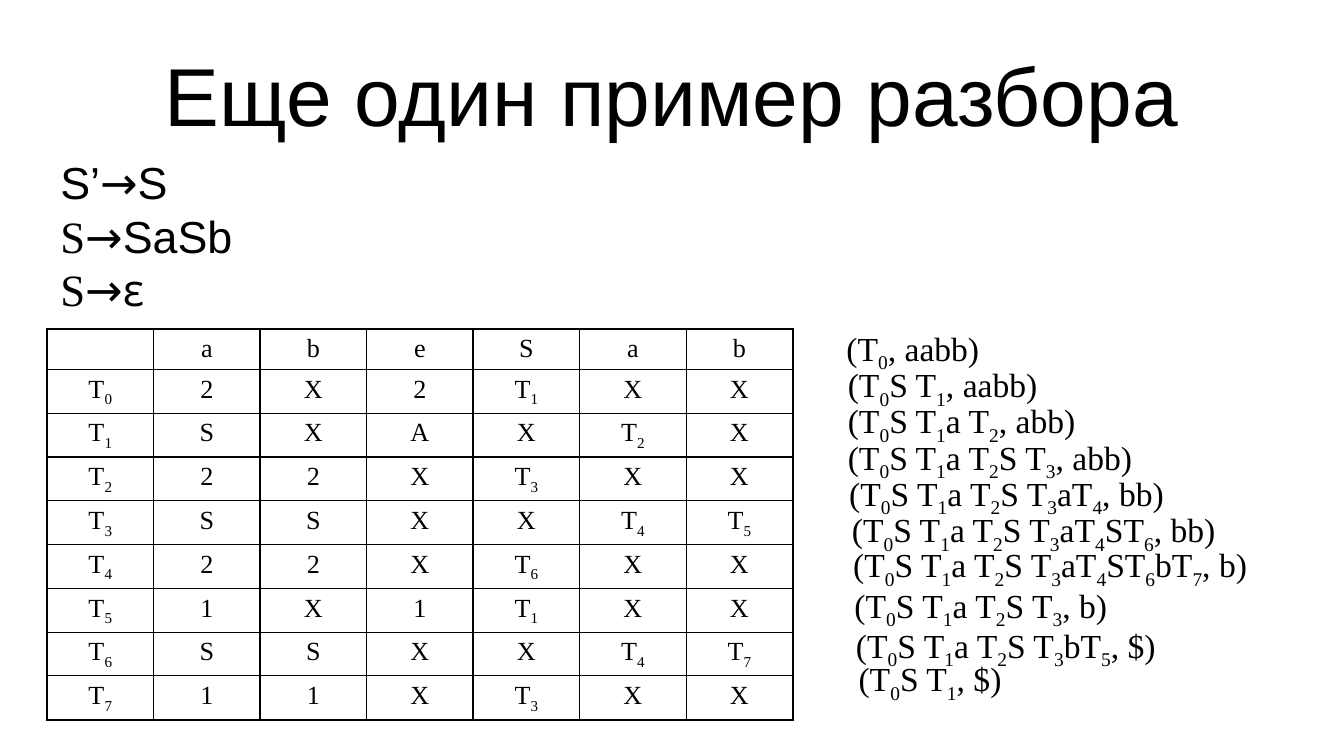
from itertools import groupby

from lxml import etree
from pptx import Presentation
from pptx.dml.color import RGBColor
from pptx.enum.text import MSO_ANCHOR, PP_ALIGN
from pptx.oxml.ns import qn
from pptx.util import Inches, Pt

CENTER, JUSTIFY, LEFT = PP_ALIGN.CENTER, PP_ALIGN.JUSTIFY, PP_ALIGN.LEFT
MIDDLE, TOP = MSO_ANCHOR.MIDDLE, MSO_ANCHOR.TOP
COLORS = {"ink": "000000"}
SANS, SYMBOL, SERIF = "Arial", "Open Sans", "Times New Roman"

GRAMMAR = [
    [("S’", SANS), ("→", SYMBOL), ("S", SANS)],
    [("S", SERIF), ("→", SYMBOL), ("SaSb", SANS)],
    [("S", SERIF), ("→ε", SYMBOL)],
]
PARSING_TABLE = [
    ["", "a", "b", "e", "S", "a", "b"],
    ["T0", "2", "X", "2", "T1", "X", "X"],
    ["T1", "S", "X", "A", "X", "T2", "X"],
    ["T2", "2", "2", "X", "T3", "X", "X"],
    ["T3", "S", "S", "X", "X", "T4", "T5"],
    ["T4", "2", "2", "X", "T6", "X", "X"],
    ["T5", "1", "X", "1", "T1", "X", "X"],
    ["T6", "S", "S", "X", "X", "T4", "T7"],
    ["T7", "1", "1", "X", "T3", "X", "X"],
]
# Left, top, width and configuration of each parsing step
STEPS = [
    (6.2, 2.39, 1.9, "(T0, aabb)"),
    (6.21, 2.66, 2.32, "(T0S T1, aabb)"),
    (6.21, 2.93, 2.15, "(T0S T1a T2, abb)"),
    (6.21, 3.2, 2.88, "(T0S T1a T2S T3, abb)"),
    (6.22, 3.47, 2.88, "(T0S T1a T2S T3aT4, bb)"),
    (6.24, 3.74, 3.4, "(T0S T1a T2S T3aT4ST6, bb)"),
    (6.25, 4, 3.55, "(T0S T1a T2S T3aT4ST6bT7, b)"),
    (6.26, 4.3, 2.36, "(T0S T1a T2S T3, b)"),
    (6.27, 4.6, 2.75, "(T0S T1a T2S T3bT5, $)"),
    (6.29, 4.85, 1.43, "(T0S T1, $)"),
]
HEAVY_COLUMN_EDGES, HEAVY_ROW_EDGES = {0, 1, 4, 7}, {0, 1, 9}


def add_run(paragraph, text, size, font_name, subscript=False):
    run = paragraph.add_run()
    run.text = text
    run.font.size = Pt(size)
    run.font.name = font_name
    run.font.color.rgb = RGBColor.from_string(COLORS["ink"])
    if subscript:
        run._r.get_or_add_rPr().set("baseline", "-25000")


def add_indexed_text(paragraph, text, size):
    """Write text with every digit that follows a letter as a subscript."""
    for index, (is_digit, chars) in enumerate(groupby(text, str.isdigit)):
        add_run(paragraph, "".join(chars), size, SERIF, is_digit and index > 0)


def add_title(slide, text):
    title = slide.shapes.title
    title.left, title.top = Inches(0.5), Inches(0.23)
    title.width, title.height = Inches(9), Inches(0.94)
    title.text_frame.vertical_anchor = MIDDLE
    heading = title.text_frame.paragraphs[0]
    heading.alignment = CENTER
    add_run(heading, text, 44, SANS)


def add_text_frame(slide, left, top, width, height, anchor):
    box = slide.shapes.add_textbox(
        Inches(left), Inches(top), Inches(width), Inches(height))
    box.text_frame.word_wrap = True
    box.text_frame.vertical_anchor = anchor
    return box.text_frame


def add_grammar(slide):
    frame = add_text_frame(slide, 0.35, 1.26, 2.75, 0.98, MIDDLE)
    for index, rule in enumerate(GRAMMAR):
        paragraph = frame.add_paragraph() if index else frame.paragraphs[0]
        paragraph.alignment = JUSTIFY
        for text, font_name in rule:
            add_run(paragraph, text, 24, font_name)


def add_step(slide, left, top, width, configuration):
    frame = add_text_frame(slide, left, top, width, 0.33, TOP)
    frame.paragraphs[0].alignment = LEFT
    add_indexed_text(frame.paragraphs[0], configuration, 18)


def set_borders(cell, row, column):
    edges = {
        "a:lnL": column in HEAVY_COLUMN_EDGES,
        "a:lnR": column + 1 in HEAVY_COLUMN_EDGES,
        "a:lnT": row in HEAVY_ROW_EDGES,
        "a:lnB": row + 1 in HEAVY_ROW_EDGES,
    }
    properties = cell._tc.get_or_add_tcPr()
    for position, (tag, heavy) in enumerate(edges.items()):
        line = etree.Element(qn(tag), w=str(Pt(1.08 if heavy else 0.75)))
        fill = etree.SubElement(line, qn("a:solidFill"))
        etree.SubElement(fill, qn("a:srgbClr"), val=COLORS["ink"])
        properties.insert(position, line)


def fill_cell(cell, text):
    cell.fill.background()
    cell.margin_left = cell.margin_right = Inches(0.07)
    cell.margin_top = cell.margin_bottom = Inches(0.04)
    paragraph = cell.text_frame.paragraphs[0]
    paragraph.alignment = CENTER
    if text:
        add_indexed_text(paragraph, text, 14)
    else:
        end = etree.SubElement(paragraph._p, qn("a:endParaRPr"), sz="1200")
        etree.SubElement(end, qn("a:latin"), typeface=SERIF)


def add_parsing_table(slide):
    row_count, column_count = len(PARSING_TABLE), len(PARSING_TABLE[0])
    table = slide.shapes.add_table(
        row_count, column_count,
        Inches(0.35), Inches(2.45), Inches(5.55), Inches(2.86)).table
    table.first_row = table.horz_banding = False
    for index, row in enumerate(table.rows):
        row.height = Inches(0.32 if index else 0.3)
    for row, values in enumerate(PARSING_TABLE):
        for column, text in enumerate(values):
            cell = table.cell(row, column)
            fill_cell(cell, text)
            set_borders(cell, row, column)


def main():
    presentation = Presentation()
    presentation.slide_width = Inches(10)
    presentation.slide_height = Inches(10) * 9 // 16
    slide = presentation.slides.add_slide(presentation.slide_layouts[5])
    add_title(slide, "Еще один пример разбора")
    add_parsing_table(slide)
    add_grammar(slide)
    for step in STEPS:
        add_step(slide, *step)
    presentation.save("out.pptx")


if __name__ == "__main__":
    main()
